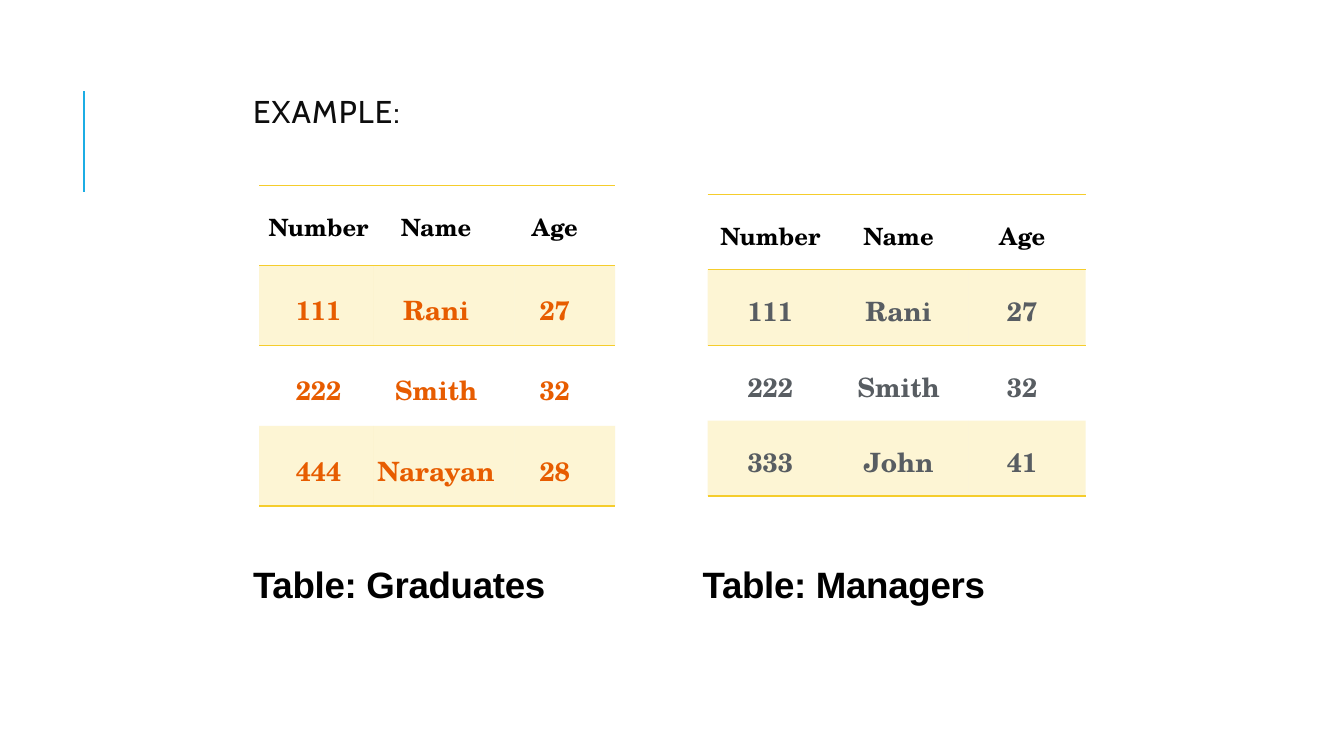
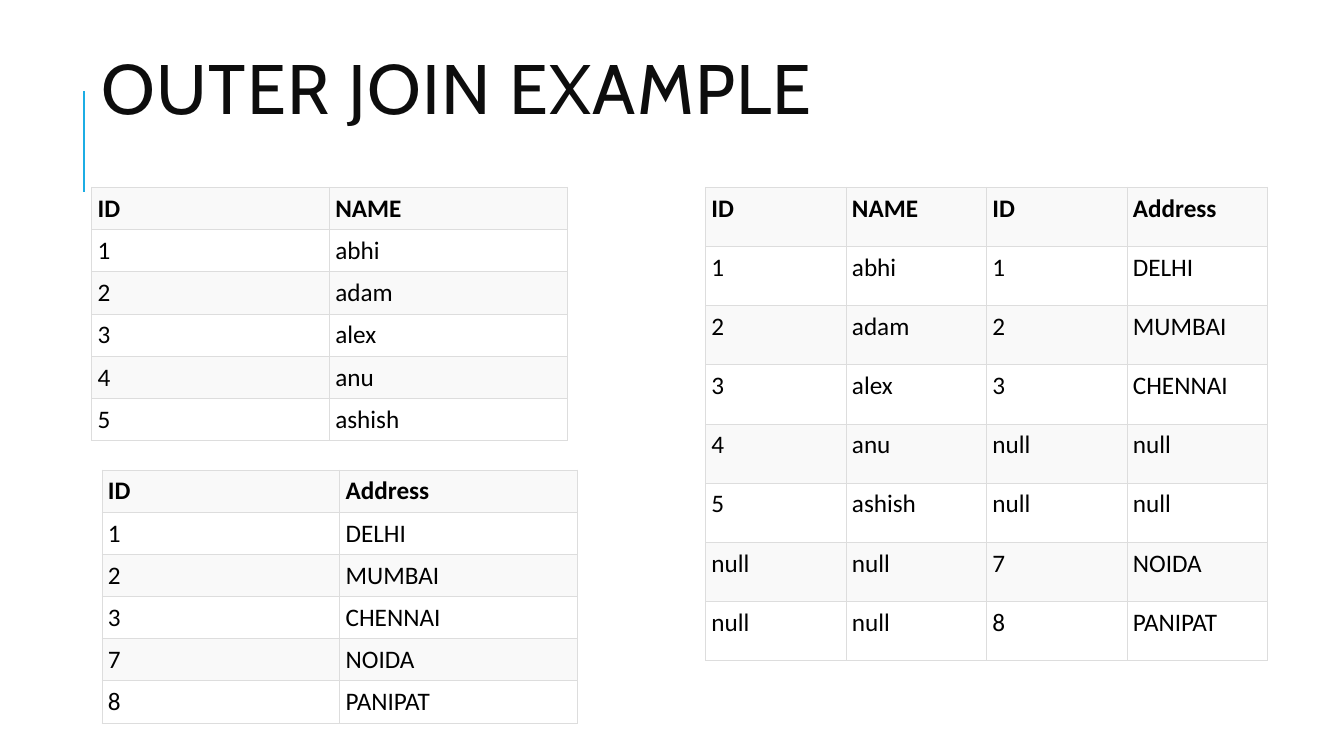
"""Build two slides that show example tables for joins."""
from dataclasses import dataclass

from lxml.etree import SubElement as Sub
from pptx import Presentation
from pptx.dml.color import RGBColor as Rgb
from pptx.enum.shapes import MSO_CONNECTOR as Link
from pptx.enum.text import MSO_ANCHOR as Anchor, PP_ALIGN as Align
from pptx.oxml.ns import qn
from pptx.slide import Slide
from pptx.table import _Cell as Cell
from pptx.util import Cm, Pt

HUES = {
    "accent": "1CADE4", "title": "0D0D0D", "text": "000000",
    "gold": "F5CD2C", "orange": "E75C00", "slate": "585D62",
    "grid": "DDDDDD", "band": "F9F9F9", "plain": "FFFFFF",
}
NO_STYLE = "{2D5ABB26-0587-4C30-8999-92F81FD0307C}"


@dataclass(frozen=True)
class Face:
    """Look of a piece of text."""
    name: str
    size: float
    hue: str = "text"
    bold: bool = False
    gap: float = 0


@dataclass(frozen=True)
class Label:
    """Text box with its place in centimetres."""
    text: str
    left: float
    top: float
    width: float
    height: float
    face: Face
    inset: tuple[float, float] = (0.03, 0.03)
    anchor: Anchor = Anchor.TOP
    lead: float = 1


@dataclass(frozen=True)
class Grid:
    """Table with its place in centimetres."""
    rows: list[tuple[str, ...]]
    left: float
    top: float
    cols: tuple[float, ...]
    high: float


@dataclass(frozen=True)
class Staff(Grid):
    """Staff table with banded rows, body hue and cell margins."""
    hue: str
    drop: float
    pads: tuple[tuple[float, float], ...]


HEAD = ("Number", "Name", "Age")
PEERS = [("111", "Rani", "27"), ("222", "Smith", "32")]
STAFF = [
    Staff([HEAD, *PEERS, ("444", "Narayan", "28")], 6.53, 4.67,
          (2.87, 3.56, 2.54), 2.02, "orange", 0.61,
          ((0.13, 0), (0, 0.38), (0, 0.5))),
    Staff([HEAD, *PEERS, ("333", "John", "41")], 17.83, 4.9,
          (3.3, 3.28, 2.95), 1.9, "slate", 0.53,
          ((0, 0.13), (0, 0.25), (0, 0.25))),
]
NAMES = {"1": "abhi", "2": "adam", "3": "alex", "4": "anu", "5": "ashish"}
TOWNS = {"1": "DELHI", "2": "MUMBAI", "3": "CHENNAI", "7": "NOIDA",
         "8": "PANIPAT"}


def style(frame, face: Face, align: Align = Align.LEFT, lead: float = 1) -> None:
    """Format every run of a text frame."""
    for para in frame.paragraphs:
        para.alignment = align
        para.line_spacing = lead
        for run in para.runs:
            font = run.font
            font.name, font.size, font.bold = face.name, Pt(face.size), face.bold
            font.color.rgb = Rgb.from_string(HUES[face.hue])
            if face.gap:
                run._r.get_or_add_rPr().set("spc", str(round(face.gap * 100)))


def write(slide: Slide, label: Label) -> None:
    """Add a text box."""
    box = slide.shapes.add_textbox(Cm(label.left), Cm(label.top),
                                   Cm(label.width), Cm(label.height))
    frame = box.text_frame
    frame.word_wrap = True
    frame.vertical_anchor = label.anchor
    side, edge = label.inset
    frame.margin_left = frame.margin_right = Cm(side)
    frame.margin_top = frame.margin_bottom = Cm(edge)
    frame.text = label.text
    style(frame, label.face, lead=label.lead)


def start(deck: Presentation, title: Label) -> Slide:
    """Add a blank slide with the accent line and a title."""
    slide = deck.slides.add_slide(deck.slide_layouts[6])
    line = slide.shapes.add_connector(Link.STRAIGHT, Cm(2.12), Cm(4.83),
                                      Cm(2.12), Cm(2.29))
    line.line.color.rgb = Rgb.from_string(HUES["accent"])
    line.line.width = Pt(1.5)
    Sub(line._element.spPr, qn("a:effectLst"))
    write(slide, title)
    return slide


def edge(cell: Cell, sides: str, hue: str, width: float) -> None:
    """Draw the named sides of a cell and clear the others."""
    props = cell._tc.get_or_add_tcPr()
    for side in "LRTB":
        line = Sub(props, qn(f"a:ln{side}"), w=str(Pt(width)))
        if side in sides:
            fill = Sub(line, qn("a:solidFill"))
            Sub(fill, qn("a:srgbClr"), val=HUES[hue])
        else:
            Sub(line, qn("a:noFill"))


def tint(cell: Cell, hue: str, alpha: int = 100) -> None:
    """Fill a cell, with an opacity in percent."""
    cell.fill.solid()
    cell.fill.fore_color.rgb = Rgb.from_string(HUES[hue])
    if alpha < 100:
        tone = cell._tc.tcPr.find(qn("a:solidFill")).find(qn("a:srgbClr"))
        Sub(tone, qn("a:alpha"), val=str(alpha * 1000))


def pad(cell: Cell, left: float, top: float, right: float, low: float) -> None:
    """Set the margins of a cell."""
    cell.margin_left, cell.margin_top = Cm(left), Cm(top)
    cell.margin_right, cell.margin_bottom = Cm(right), Cm(low)


def lay(slide: Slide, grid: Grid) -> list[tuple[int, int, Cell]]:
    """Add a table with its text and return the placed cells."""
    count = len(grid.rows)
    table = slide.shapes.add_table(
        count, len(grid.cols), Cm(grid.left), Cm(grid.top),
        Cm(sum(grid.cols)), Cm(grid.high * count)).table
    table.first_row = table.horz_banding = False
    table._tbl.tblPr.find(qn("a:tableStyleId")).text = NO_STYLE
    for col, width in zip(table.columns, grid.cols):
        col.width = Cm(width)
    cells = []
    for y, row in enumerate(grid.rows):
        table.rows[y].height = Cm(grid.high)
        for x, text in enumerate(row):
            cell = table.cell(y, x)
            cell.text_frame.text = text
            cells.append((y, x, cell))
    return cells


def draw_staff(slide: Slide, grid: Staff) -> None:
    """Draw a staff table with gold bands and rules."""
    head = Face("TeX Gyre Schola", 17, bold=True)
    body = Face("TeX Gyre Schola", 19, grid.hue, True)
    rules = ("TB", "TB", "T", "B")
    for y, x, cell in lay(slide, grid):
        left, right = grid.pads[x]
        pad(cell, left, grid.drop if y else 0.58, right, 0)
        edge(cell, rules[y] if y != 2 else "T", "gold", 1)
        if y % 2:
            tint(cell, "gold", 20)
        else:
            cell.fill.background()
        style(cell.text_frame, body if y else head, Align.CENTER)


def draw_grid(slide: Slide, grid: Grid) -> None:
    """Draw a data table with a thin grid and pale bands."""
    for y, _, cell in lay(slide, grid):
        pad(cell, 0.15, 0.15, 0.15, 0.15)
        edge(cell, "LRTB", "grid", 0.5)
        tint(cell, "plain" if y % 2 else "band")
        style(cell.text_frame, Face("Calibri", 18, bold=y == 0))


def join() -> list[tuple[str, ...]]:
    """Return the full outer join of names and towns."""
    rows = [("ID", "NAME", "ID", "Address")]
    for key in sorted({*NAMES, *TOWNS}):
        rows.append((key if key in NAMES else "null", NAMES.get(key, "null"),
                     key if key in TOWNS else "null", TOWNS.get(key, "null")))
    return rows


def main() -> None:
    """Build and save the deck."""
    deck = Presentation()
    deck.slide_width, deck.slide_height = Cm(33.87), Cm(19.05)

    slide = start(deck, Label("EXAMPLE:", 6.35, 2.31, 3.89, 0.99,
                              Face("Cabin", 22.5, "title", gap=0.8),
                              anchor=Anchor.MIDDLE))
    for grid in STAFF:
        draw_staff(slide, grid)
    bold = Face("Arial", 26.2, bold=True, gap=-0.2)
    for text, left in (("Table: Graduates", 6.35), ("Table: Managers", 17.68)):
        write(slide, Label(text, left, 14.12, 7.8, 1.14, bold))

    slide = start(deck, Label("OUTER JOIN EXAMPLE", 2.31, 0.3, 27, 4.17,
                              Face("Cabin", 50, "title", gap=1),
                              (0.25, 0.13), Anchor.MIDDLE, 0.8))
    draw_grid(slide, Grid(join(), 17.78, 4.72, (3.54,) * 4, 1.49))
    pair = (5.99,) * 2
    draw_grid(slide, Grid([("ID", "NAME"), *NAMES.items()],
                          2.31, 4.72, pair, 1.06))
    draw_grid(slide, Grid([("ID", "Address"), *TOWNS.items()],
                          2.57, 11.84, pair, 1.06))
    deck.save("out.pptx")


if __name__ == "__main__":
    main()
